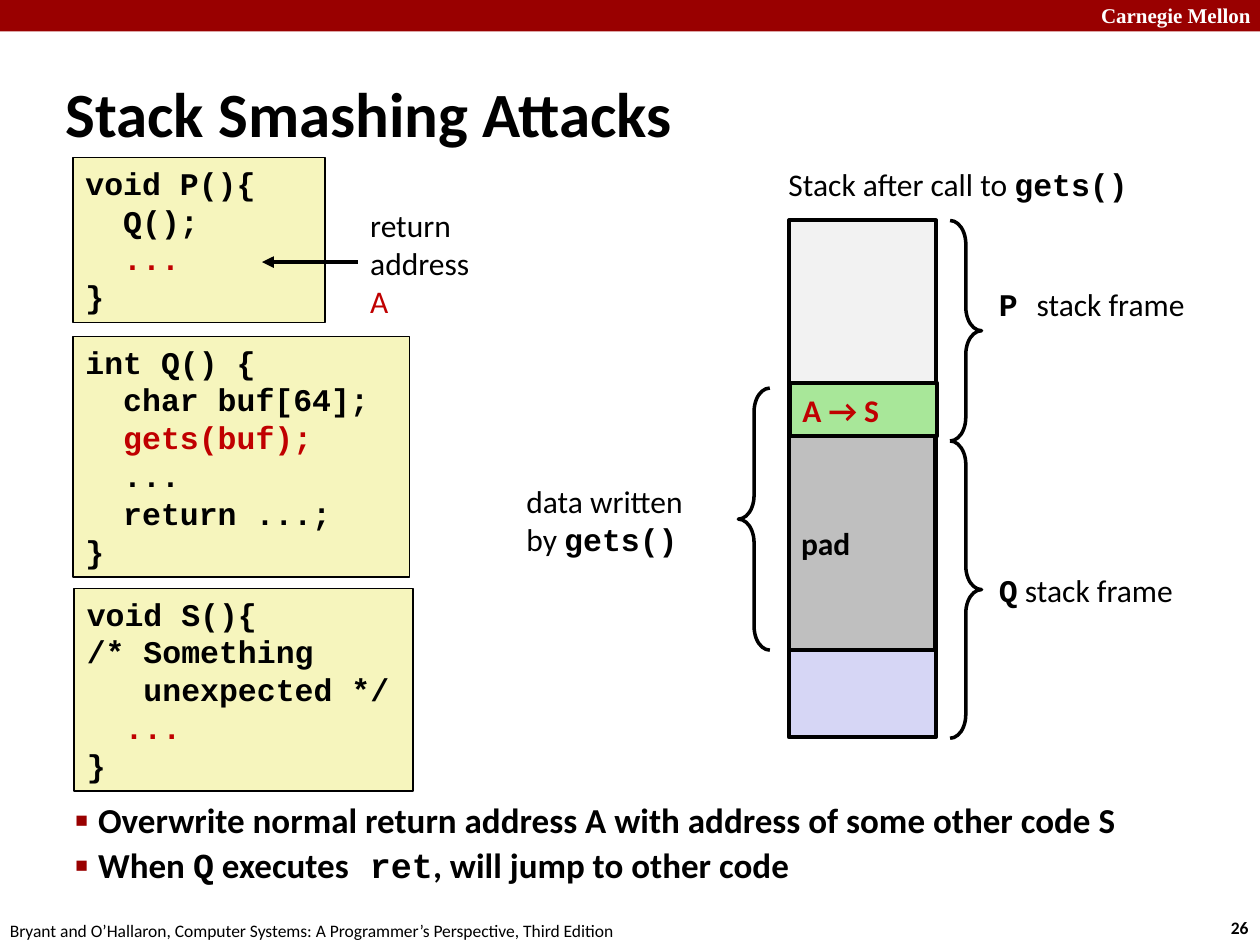
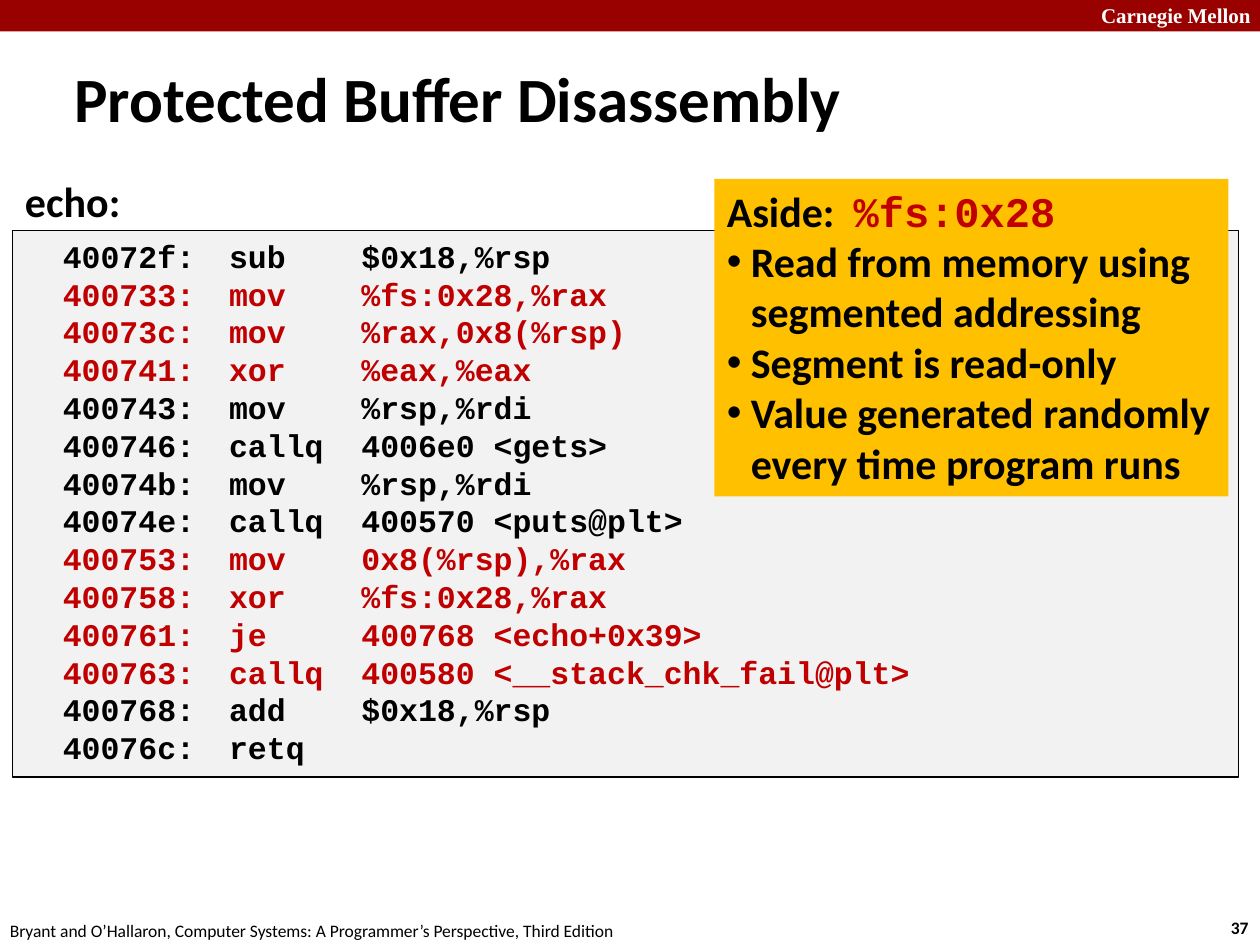
"""Build two slides on stack smashing and buffer protection."""
from lxml.etree import SubElement
from pptx import Presentation
from pptx.dml.color import RGBColor
from pptx.enum.shapes import MSO_CONNECTOR, MSO_SHAPE
from pptx.enum.text import MSO_ANCHOR, MSO_AUTO_SIZE, PP_ALIGN
from pptx.oxml.ns import qn
from pptx.util import Inches, Pt

BLACK = RGBColor(0, 0, 0)
WHITE = RGBColor(255, 255, 255)
BAND = RGBColor(0x99, 0, 0)
RED = RGBColor(0xC0, 0, 0)
CREAM = RGBColor(0xF6, 0xF5, 0xBD)
PALE = RGBColor(0xF2, 0xF2, 0xF2)
GREY = RGBColor(0xBF, 0xBF, 0xBF)
LILAC = RGBColor(0xD6, 0xD6, 0xF5)
GREEN = RGBColor(0xA8, 0xE7, 0x99)
GOLD = RGBColor(0xFF, 0xC0, 0)
SANS, MONO, SERIF = "Calibri", "Courier New", "Times New Roman"
FOOTER = ("Bryant and O’Hallaron, Computer Systems: "
          "A Programmer’s Perspective, Third Edition")


def red(text, **look):
    return [(text, {"color": RED, **look})]


def mono(text, **look):
    return (text, {"font": MONO, "bold": True, **look})


def mark(para, char, indent, color=None, scale=None):
    """Give a paragraph a hanging bullet."""
    props = para._p.get_or_add_pPr()
    props.set("marL", str(Inches(indent)))
    props.set("indent", str(-Inches(indent)))
    if color is not None:
        SubElement(SubElement(props, qn("a:buClr")), qn("a:srgbClr"), val=str(color))
    if scale:
        SubElement(props, qn("a:buSzPct"), val=str(scale * 1000))
    SubElement(props, qn("a:buFont"), typeface="Arial")
    SubElement(props, qn("a:buChar"), char=char)


def set_tabs(para, stops):
    tabs = SubElement(para._p.get_or_add_pPr(), qn("a:tabLst"))
    for stop in stops:
        SubElement(tabs, qn("a:tab"), pos=str(Inches(stop)), algn="l")


def add_run(para, text, size, font, color, bold):
    for num, part in enumerate(text.split("\n")):
        if num:
            para.add_line_break()
        run = para.add_run()
        run.text = part
        run.font.size = Pt(size)
        run.font.name = font
        run.font.bold = bold
        run.font.color.rgb = color


def write(shape, lines, size=18, font=SANS, color=BLACK, bold=False,
          anchor=MSO_ANCHOR.TOP, wrap=True, bullet=None, skip=0,
          space=None, before=0, tabs=()):
    """Fill a shape with lines, each a string or a list of (text, look) runs."""
    frame = shape.text_frame
    frame.word_wrap = wrap
    frame.auto_size = MSO_AUTO_SIZE.NONE
    frame.vertical_anchor = anchor
    frame.margin_left = frame.margin_right = Inches(0.1)
    frame.margin_top = frame.margin_bottom = Inches(0.05)
    base = {"size": size, "font": font, "color": color, "bold": bold}
    for num, line in enumerate(lines):
        para = frame.add_paragraph() if num else frame.paragraphs[0]
        para.alignment = PP_ALIGN.LEFT
        if space:
            para.line_spacing = space
        if num and before:
            para.space_before = Pt(before)
        if bullet and num >= skip:
            mark(para, **bullet)
        if tabs:
            set_tabs(para, tabs)
        for text, look in [(line, {})] if isinstance(line, str) else line:
            add_run(para, text, **{**base, **look})


def label(slide, place, lines, **look):
    box = slide.shapes.add_textbox(*map(Inches, place))
    write(box, lines, **look)


def block(slide, place, fill=None, line=None, kind=MSO_SHAPE.RECTANGLE):
    """Add a preset shape with an optional fill and black outline."""
    shape = slide.shapes.add_shape(kind, *map(Inches, place))
    shape.shadow.inherit = False
    if fill is None:
        shape.fill.background()
    else:
        shape.fill.solid()
        shape.fill.fore_color.rgb = fill
    if line:
        shape.line.color.rgb = BLACK
        shape.line.width = Pt(line)
    else:
        shape.line.fill.background()
    return shape


def code(slide, place, lines, fill=CREAM, tabs=(0.5, 1.62)):
    write(block(slide, place, fill, 1), lines, font=MONO, bold=True, tabs=tabs)


def brace(slide, kind, left, top, height):
    shape = block(slide, (left, top, 0.25, height), line=2, kind=kind)
    shape.adjustments[0] = 0.75
    shape.adjustments[1] = 0.5


def arrow(slide, start, end):
    line = slide.shapes.add_connector(MSO_CONNECTOR.STRAIGHT,
                                      *map(Inches, start + end))
    line.line.color.rgb = BLACK
    line.line.width = Pt(2.25)
    SubElement(line.line._get_or_add_ln(), qn("a:tailEnd"), type="triangle")
    SubElement(line._element.spPr, qn("a:effectLst"))


def new_slide(deck, title, place, page):
    """Add a slide with its title, top band and footers."""
    slide = deck.slides.add_slide(deck.slide_layouts[5])
    head = slide.shapes.title
    head.left, head.top, head.width, head.height = map(Inches, place)
    write(head, [title], size=36, bold=True, anchor=MSO_ANCHOR.MIDDLE)
    block(slide, (0, 0, 10, 0.25), BAND)
    label(slide, (8.64, -0.03, 1.43, 0.3), ["Carnegie Mellon"],
          size=12, font=SERIF, color=WHITE, bold=True)
    label(slide, (9.67, 7.23, 0.37, 0.27), [page], size=10, bold=True, wrap=False)
    label(slide, (-0.02, 7.25, 5.08, 0.27), [FOOTER], size=10, wrap=False)
    return slide


def draw_code(slide):
    code(slide, (0.58, 1.25, 2, 1.31), ["void P(){", "  Q();", red("  ..."), "}"])
    code(slide, (0.58, 2.67, 2.67, 1.91),
         ["int Q() {", "  char buf[64];", red("  gets(buf);"), "  ...",
          "  return ...;", "}"])
    code(slide, (0.59, 4.67, 2.69, 1.61),
         ["void S(){", "/* Something", "   unexpected */", red("  ..."), "}"])
    label(slide, (2.84, 1.58, 1, 1.01), ["return", "address", red("A")],
          anchor=MSO_ANCHOR.MIDDLE, wrap=False)
    arrow(slide, (2.84, 2.08), (2.08, 2.08))


def draw_stack(slide):
    """Draw the stack with its frames, braces and labels."""
    mid = MSO_ANCHOR.MIDDLE
    label(slide, (6.16, 1.26, 2.93, 0.4),
          [[("Stack after call to ", {}), mono("gets()")]], wrap=False)
    block(slide, (6.26, 1.75, 1.17, 1.7), PALE, 2.25)
    block(slide, (6.26, 3.45, 1.17, 2.4), LILAC, 2.25)
    pad = block(slide, (6.26, 3.45, 1.16, 1.71), GREY, 2.25)
    write(pad, ["pad"], bold=True, anchor=mid)
    cell = block(slide, (6.27, 3.04, 1.17, 0.42), GREEN, 2.25)
    write(cell, ["A → S"], color=RED, bold=True, anchor=mid, wrap=False)
    brace(slide, MSO_SHAPE.RIGHT_BRACE, 7.54, 1.75, 1.75)
    brace(slide, MSO_SHAPE.RIGHT_BRACE, 7.54, 3.5, 2.36)
    brace(slide, MSO_SHAPE.LEFT_BRACE, 5.86, 3.08, 2.08)
    label(slide, (7.83, 2.21, 1.7, 0.4), [[mono("P "), ("stack frame", {})]],
          anchor=mid, wrap=False)
    label(slide, (7.83, 4.48, 1.61, 0.4), [[mono("Q"), (" stack frame", {})]],
          anchor=mid, wrap=False)
    label(slide, (4.08, 3.77, 1.5, 0.71),
          ["data written", [("by ", {}), mono("gets()")]], anchor=mid)


def smash(deck):
    slide = new_slide(deck, "Stack Smashing Attacks", (0.42, 0.58, 9.08, 0.63), "26")
    draw_code(slide)
    draw_stack(slide)
    label(slide, (0.5, 6.08, 9.03, 1.25),
          ["Overwrite normal return address A with address of some other code S",
           [("When ", {}), mono("Q"), (" executes", {}), mono(" ret"),
            (", will jump to other code", {})]],
          size=20, bold=True, anchor=MSO_ANCHOR.MIDDLE, space=0.9, before=4,
          bullet={"char": "■", "indent": 0.18, "color": BAND, "scale": 60})


def protect(deck):
    slide = new_slide(deck, "Protected Buffer Disassembly",
                      (0.49, 0.46, 7.76, 0.63), "37")
    code(slide, (0.1, 1.83, 9.73, 4.34),
         ["  40072f:\tsub    $0x18,%rsp",
          red("  400733:\tmov    %fs:0x28,%rax"),
          red("  40073c:\tmov    %rax,0x8(%rsp)"),
          red("  400741:\txor    %eax,%eax"),
          "  400743:\tmov    %rsp,%rdi",
          "  400746:\tcallq  4006e0 <gets>",
          "  40074b:\tmov    %rsp,%rdi",
          "  40074e:\tcallq  400570 <puts@plt>",
          red("  400753:\tmov    0x8(%rsp),%rax"),
          red("  400758:\txor    %fs:0x28,%rax"),
          red("  400761:\tje     400768 <echo+0x39>"),
          red("  400763:\tcallq  400580 <__stack_chk_fail@plt>"),
          "  400768:\tadd    $0x18,%rsp",
          "  40076c:\tretq"],
         fill=PALE, tabs=(0.5, 1.62, 4.12, 4.31))
    label(slide, (0.1, 1.34, 0.97, 0.5), ["echo:"], size=24, bold=True, wrap=False)
    aside = block(slide, (5.67, 1.42, 4.08, 2.52), GOLD)
    write(aside,
          [[("Aside:  ", {}), mono("%fs:0x28", color=RED)],
           "Read from memory using\nsegmented addressing",
           "Segment is read-only",
           "Value generated randomly\nevery time program runs"],
          size=24, bold=True, wrap=False, skip=1,
          bullet={"char": "•", "indent": 0.19})


def main():
    deck = Presentation()
    deck.slide_width, deck.slide_height = Inches(10), Inches(7.5)
    smash(deck)
    protect(deck)
    deck.save("out.pptx")


if __name__ == "__main__":
    main()
